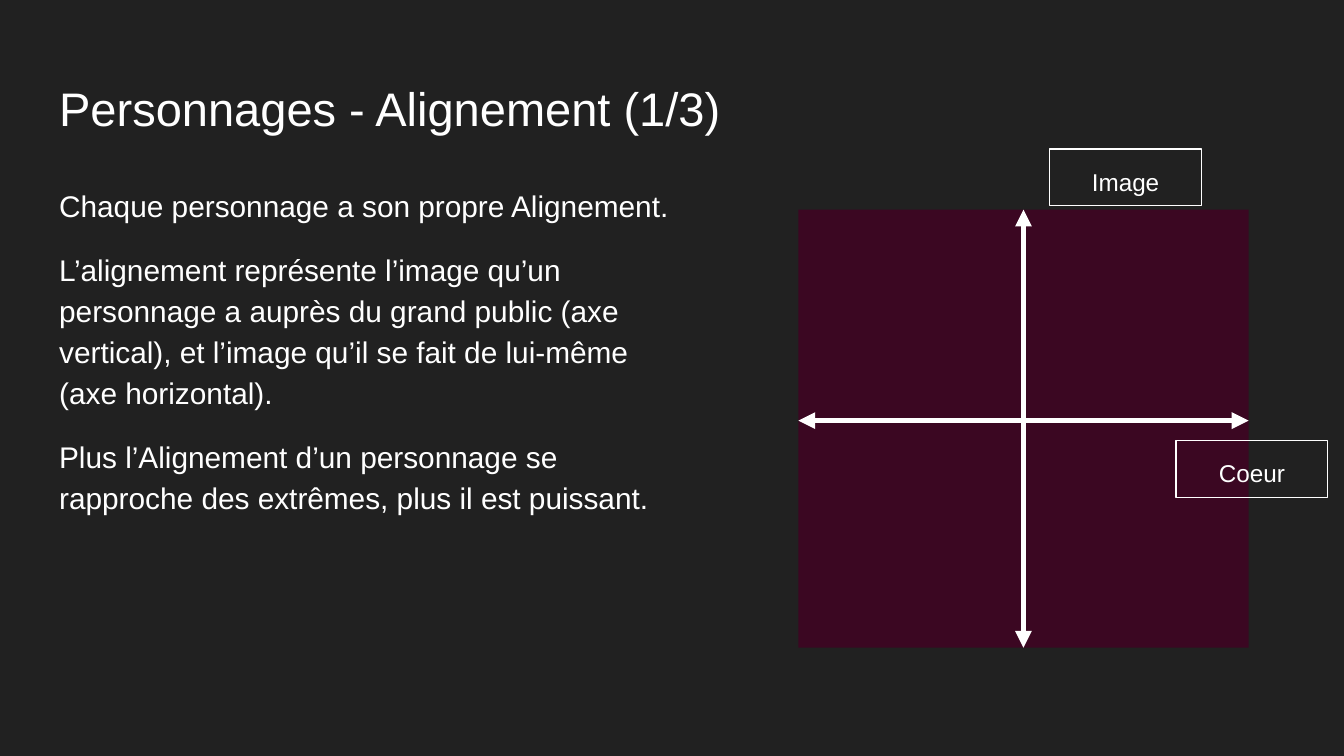
from dataclasses import dataclass

from lxml.etree import SubElement
from pptx import Presentation
from pptx.dml.color import RGBColor
from pptx.enum.shapes import MSO_CONNECTOR, MSO_SHAPE
from pptx.enum.text import MSO_ANCHOR, MSO_AUTO_SIZE, PP_ALIGN
from pptx.oxml.ns import qn
from pptx.util import Inches, Pt


@dataclass(frozen=True)
class Theme:
    font: str = "Arial"
    background: RGBColor = RGBColor(0x21, 0x21, 0x21)
    panel: RGBColor = RGBColor(0x3B, 0x07, 0x22)
    light: RGBColor = RGBColor(0xFF, 0xFF, 0xFF)
    title_size: float = 25.2
    body_size: float = 16
    label_size: float = 13
    axis_width: float = 3
    border_width: float = 0.75
    line_spacing: float = 1.15
    gap: float = 12


class SlideBuilder:
    """Draws styled elements on the current slide."""

    def __init__(self, page, theme):
        self.page = page
        self.theme = theme
        page.background.fill.solid()
        page.background.fill.fore_color.rgb = theme.background

    def style_frame(self, frame):
        frame.word_wrap = True
        frame.auto_size = MSO_AUTO_SIZE.NONE
        frame.vertical_anchor = MSO_ANCHOR.TOP
        frame.margin_left = frame.margin_right = Inches(0.1)
        frame.margin_top = frame.margin_bottom = Inches(0.1)

    def style_paragraph(self, paragraph, size, align=PP_ALIGN.LEFT):
        paragraph.alignment = align
        paragraph.font.name = self.theme.font
        paragraph.font.size = Pt(size)
        paragraph.font.color.rgb = self.theme.light

    def place(self, box, left, top, width, height):
        box.left, box.top = Inches(left), Inches(top)
        box.width, box.height = Inches(width), Inches(height)
        self.style_frame(box.text_frame)

    def title(self, text, *bounds):
        box = self.page.shapes.title
        self.place(box, *bounds)
        box.text_frame.text = text
        self.style_paragraph(box.text_frame.paragraphs[0], self.theme.title_size)

    def body(self, texts, *bounds):
        box = self.page.placeholders[1]
        self.place(box, *bounds)
        box.text_frame.text = "\n".join(texts)
        for index, paragraph in enumerate(box.text_frame.paragraphs):
            properties = paragraph._p.get_or_add_pPr()
            properties.set("marL", "0")
            properties.set("indent", "0")
            SubElement(properties, qn("a:buNone"))
            paragraph.line_spacing = self.theme.line_spacing
            paragraph.space_before = Pt(self.theme.gap if index else 0)
            self.style_paragraph(paragraph, self.theme.body_size)

    def rectangle(self, left, top, width, height):
        box = self.page.shapes.add_shape(
            MSO_SHAPE.RECTANGLE, Inches(left), Inches(top), Inches(width), Inches(height))
        box.shadow.inherit = False
        return box

    def panel(self, *bounds):
        box = self.rectangle(*bounds)
        box.fill.solid()
        box.fill.fore_color.rgb = self.theme.panel
        box.line.fill.background()

    def axis(self, *ends):
        line = self.page.shapes.add_connector(
            MSO_CONNECTOR.STRAIGHT, *(Inches(value) for value in ends))
        line.line.color.rgb = self.theme.light
        line.line.width = Pt(self.theme.axis_width)
        outline = line.line._get_or_add_ln()
        for end in ("a:headEnd", "a:tailEnd"):
            SubElement(outline, qn(end), type="triangle")
        SubElement(line._element.spPr, qn("a:effectLst"))

    def label(self, text, left, top):
        box = self.rectangle(left, top, 1.13, 0.42)
        box.fill.background()
        box.line.color.rgb = self.theme.light
        box.line.width = Pt(self.theme.border_width)
        self.style_frame(box.text_frame)
        box.text_frame.text = text
        paragraph = box.text_frame.paragraphs[0]
        paragraph.line_spacing = self.theme.line_spacing
        paragraph.space_after = Pt(self.theme.gap)
        self.style_paragraph(paragraph, self.theme.label_size, PP_ALIGN.CENTER)


def main():
    deck = Presentation()
    deck.slide_width = Inches(10)
    deck.slide_height = deck.slide_width * 9 // 16
    slide = SlideBuilder(deck.slides.add_slide(deck.slide_layouts[1]), Theme())

    slide.title("Personnages - Alignement (1/3)", 0.34, 0.49, 9.32, 0.63)
    slide.body([
        "Chaque personnage a son propre Alignement.",
        "L’alignement représente l’image qu’un personnage a auprès du grand public "
        "(axe vertical), et l’image qu’il se fait de lui-même (axe horizontal).",
        "Plus l’Alignement d’un personnage se rapproche des extrêmes, plus il est puissant.",
    ], 0.34, 1.26, 4.75, 3.74)

    left, top, width, height = 5.94, 1.56, 3.35, 3.26
    middle_x, middle_y = left + width / 2, 3.13
    slide.panel(left, top, width, height)
    slide.axis(middle_x, top, middle_x, top + height)
    slide.axis(left, middle_y, left + width, middle_y)
    slide.label("Image", 7.81, 1.11)
    slide.label("Coeur", 8.75, 3.28)

    deck.save("out.pptx")


if __name__ == "__main__":
    main()
